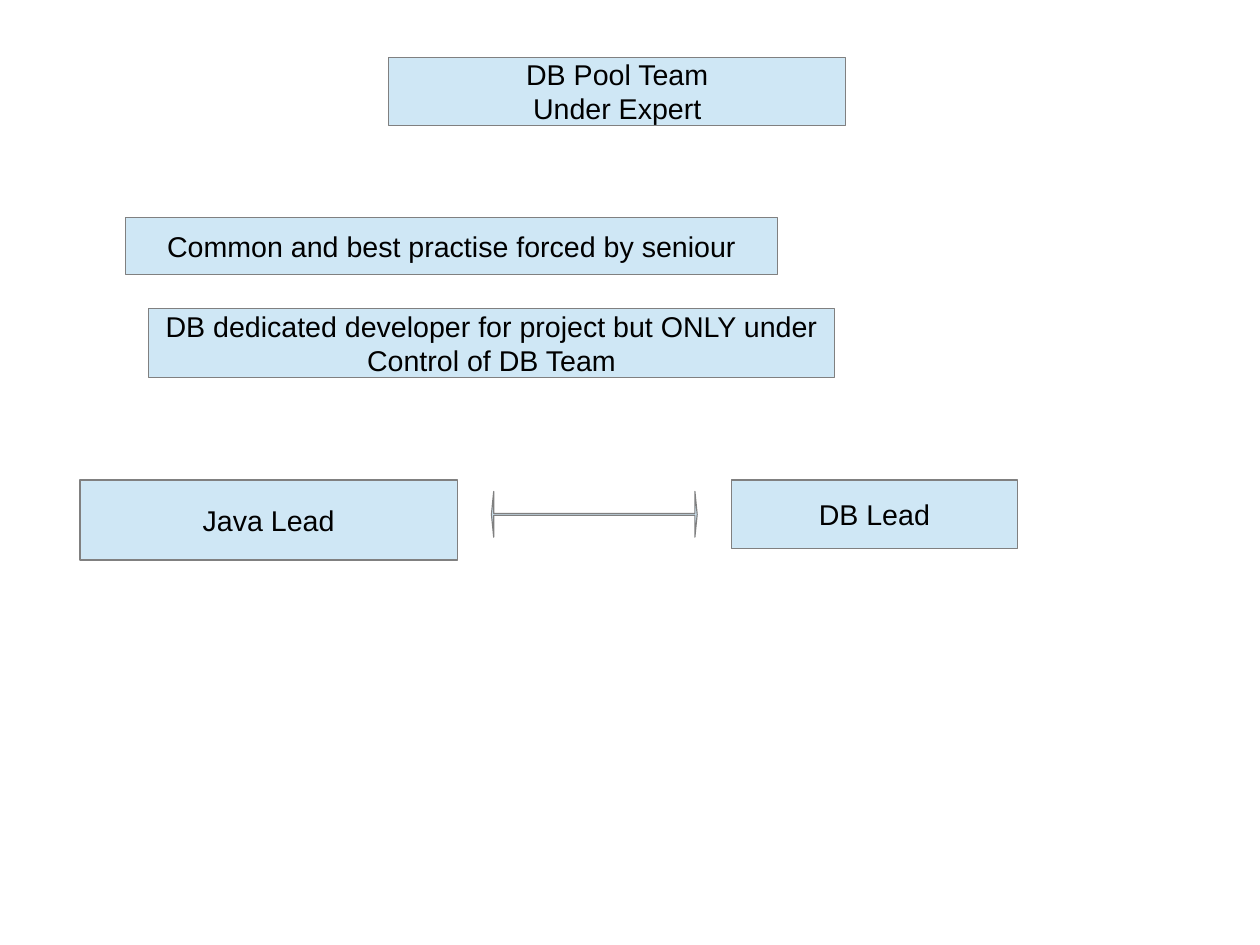
from dataclasses import dataclass

from pptx import Presentation
from pptx.dml.color import RGBColor
from pptx.enum.shapes import MSO_SHAPE as Shape
from pptx.enum.text import MSO_ANCHOR as Anchor, PP_ALIGN as Align
from pptx.util import Pt


@dataclass(frozen=True)
class Theme:
    fill: RGBColor = RGBColor(0xCF, 0xE7, 0xF5)
    line: RGBColor = RGBColor(0x80, 0x80, 0x80)
    text: RGBColor = RGBColor(0, 0, 0)
    font: str = "Arial"
    size: float = 18
    line_width: float = 0.75


theme = Theme()


def add_filled_shape(page, kind, left, top, width, height):
    shape = page.shapes.add_shape(kind, Pt(left), Pt(top), Pt(width), Pt(height))
    shape.shadow.inherit = False
    shape.fill.solid()
    shape.fill.fore_color.rgb = theme.fill
    shape.line.color.rgb = theme.line
    shape.line.width = Pt(theme.line_width)
    return shape


deck = Presentation()
deck.slide_width = Pt(793.7)
deck.slide_height = Pt(595.28)
page = deck.slides.add_slide(deck.slide_layouts[6])

boxes = [
    (244.8, 36, 288, 43.2, ["DB Pool Team", "Under Expert"]),
    (79.2, 136.8, 410.4, 36, ["Common and best practise forced by seniour"]),
    (93.6, 194.4, 432, 43.2,
     ["DB dedicated developer for project but ONLY under", "Control of DB Team"]),
    (50.4, 302.4, 237.6, 50.4, ["Java Lead"]),
    (460.8, 302.4, 180, 43.2, ["DB Lead"]),
]

for left, top, width, height, lines in boxes:
    box = add_filled_shape(page, Shape.RECTANGLE, left, top, width, height)
    frame = box.text_frame
    frame.word_wrap = False
    frame.vertical_anchor = Anchor.MIDDLE
    frame.text = "\n".join(lines)
    for para in frame.paragraphs:
        para.alignment = Align.CENTER
        para.font.name = theme.font
        para.font.size = Pt(theme.size)
        para.font.color.rgb = theme.text

arrow = add_filled_shape(page, Shape.LEFT_RIGHT_ARROW, 309.6, 309.6, 129.6, 28.8)
arrow.adjustments[0] = 0.04
arrow.adjustments[1] = 0.05

deck.save("out.pptx")
